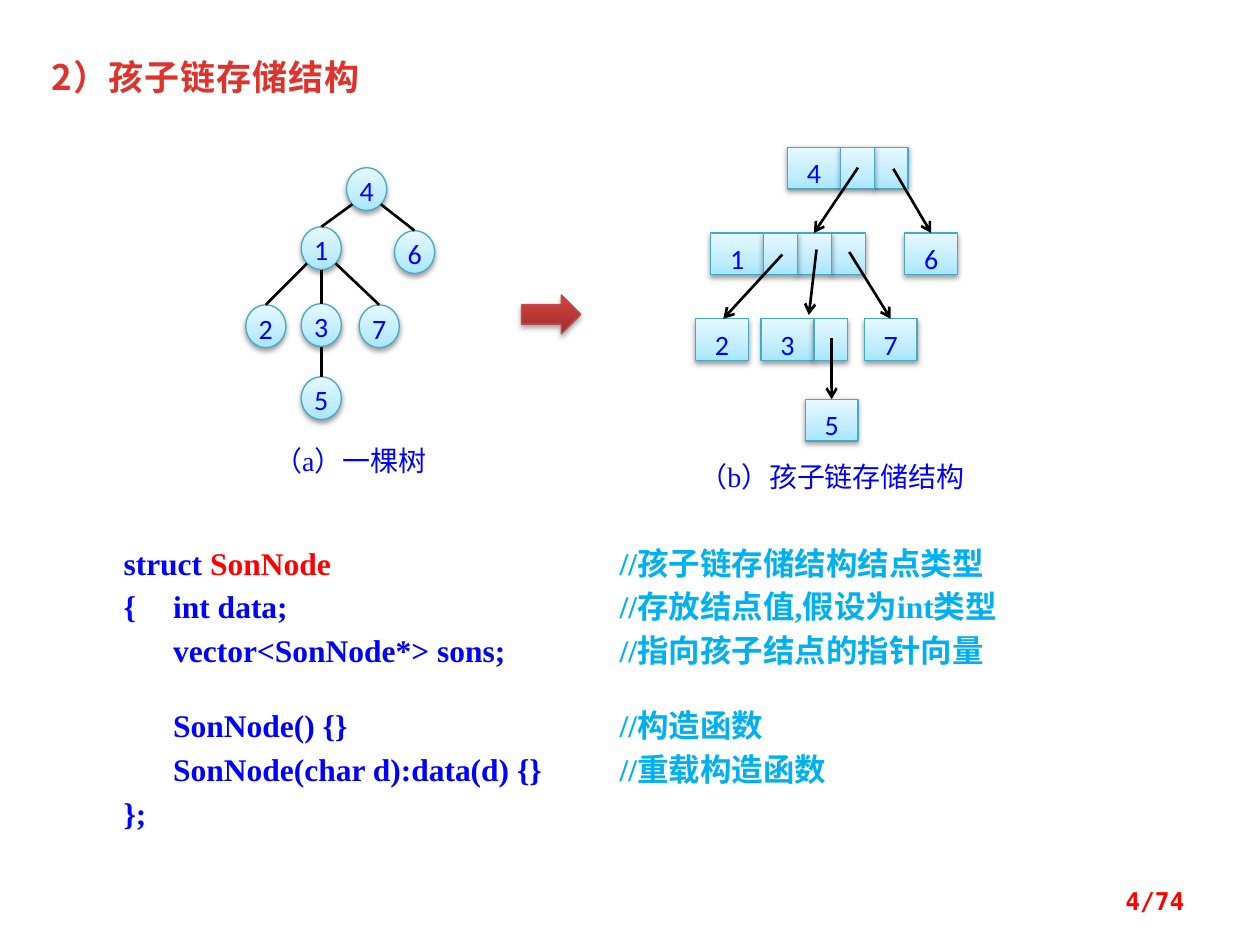
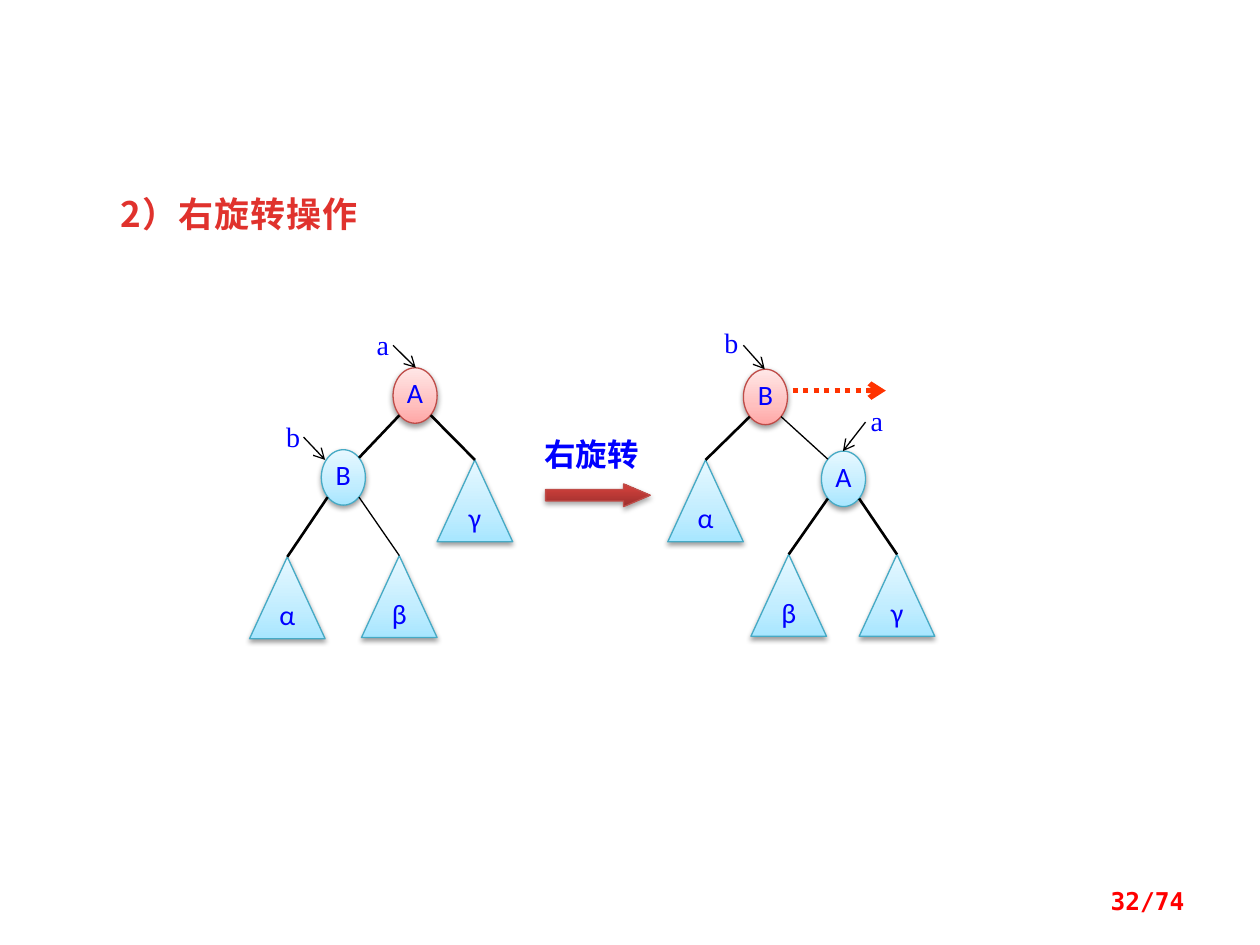
from dataclasses import dataclass

from lxml import etree
from pptx import Presentation
from pptx.dml.color import RGBColor
from pptx.enum import dml, shapes, text
from pptx.oxml import ns
from pptx.util import Pt

SHAPE = shapes.MSO_SHAPE
ALIGN = text.PP_ALIGN


@dataclass(frozen=True)
class Theme:
    ink: str = "0000FF"
    keyword: str = "FF0000"
    comment: str = "00B0F0"
    page: str = "FF0000"
    edge: str = "000000"
    accent: str = "FF3300"
    white: str = "FFFFFF"
    title: tuple = ((25, "E0322D"), (100, "A2201C"))
    # each: gradient stops, outline, shadow opacity, shadow distance
    blue: tuple = (((0, "A7E6FF"), (35, "C1EDFF"), (100, "E7F8FF")), "46AAC5", 38, 1.6)
    pink: tuple = (((0, "FFA6A5"), (35, "FFC0BF"), (100, "FFE7E7")), "BF4C48", 38, 1.6)
    red: tuple = (((0, "9C2F2D"), (80, "CB3E3A"), (100, "CE3B37")), "BF4C48", 35, 1.8)
    node_font: str = "Calibri"
    body_font: str = "Times New Roman"
    title_font: str = "Noto Sans CJK SC"
    page_font: str = "DejaVu Sans Mono"
    title_size: int = 20
    code_size: int = 18
    label_size: int = 16
    page_size: int = 14
    thin: float = 0.75
    thick: float = 1.5


T = Theme()


def sub(parent, tag, **attrs):
    return etree.SubElement(parent, ns.qn(tag), {k: str(v) for k, v in attrs.items()})


def paint_gradient(fill, element, stops, angle):
    fill.gradient()
    fill.gradient_angle = angle
    gs_list = element.find(".//" + ns.qn("a:gsLst"))
    for gs in list(gs_list):
        gs_list.remove(gs)
    for pos, color in stops:
        sub(sub(gs_list, "a:gs", pos=pos * 1000), "a:srgbClr", val=color)


def style_font(font, name, size, color=None, bold=False):
    font.name, font.size, font.bold = name, Pt(size), bold
    if color:
        font.color.rgb = RGBColor.from_string(color)


def frame(sp, left=0, top=0, right=0, bottom=0, wrap=True):
    tf = sp.text_frame
    tf.word_wrap = wrap
    tf.vertical_anchor = text.MSO_ANCHOR.TOP
    tf.margin_left, tf.margin_top = Pt(left), Pt(top)
    tf.margin_right, tf.margin_bottom = Pt(right), Pt(bottom)
    return tf


def write(tf, content, font, size, color, align=ALIGN.LEFT, bold=False, spacing=None):
    p = tf.paragraphs[0]
    p.text = content
    p.alignment = align
    if spacing:
        p.line_spacing = Pt(spacing)
    style_font(p.font, font, size, color, bold)


def textbox(slide, x, y, w, h):
    return slide.shapes.add_textbox(Pt(x), Pt(y), Pt(w), Pt(h))


def glossy(slide, kind, x, y, w, h, look):
    """Preset shape with a gradient, a thin outline and a soft shadow."""
    stops, outline, opacity, distance = look
    sp = slide.shapes.add_shape(kind, Pt(x), Pt(y), Pt(w), Pt(h))
    props = sp._element.spPr
    paint_gradient(sp.fill, props, stops, 90)
    sp.line.color.rgb = RGBColor.from_string(outline)
    sp.line.width = Pt(T.thin)
    sp.shadow.inherit = False
    shadow = sub(props.find(ns.qn("a:effectLst")), "a:outerShdw", blurRad=Pt(3.1),
                 dist=Pt(distance), dir=5400000, rotWithShape=0)
    sub(sub(shadow, "a:srgbClr", val="000000"), "a:alpha", val=opacity * 1000)
    return sp


def node(slide, kind, x, y, w, h, key, look=T.blue, spacing=None):
    sp = glossy(slide, kind, x, y, w, h, look)
    write(frame(sp), key, T.node_font, T.label_size, T.ink, ALIGN.CENTER, spacing=spacing)
    return sp


def line(slide, x1, y1, x2, y2, width=T.thick, color=T.edge, arrow=False, dash=None):
    c = slide.shapes.add_connector(shapes.MSO_CONNECTOR.STRAIGHT,
                                   Pt(x1), Pt(y1), Pt(x2), Pt(y2))
    c.line.color.rgb = RGBColor.from_string(color)
    c.line.width = Pt(width)
    if dash:
        c.line.dash_style = dash
    if arrow:
        sub(c.line._get_or_add_ln(), "a:tailEnd", type="arrow")
    sub(c._element.spPr, "a:effectLst")


def site(sp, dx, dy):
    """Point of a shape, dx and dy being -1 to 1 from its centre."""
    return (sp.left.pt + sp.width.pt * (1 + dx) / 2,
            sp.top.pt + sp.height.pt * (1 + dy) / 2)


def edge(slide, parent, child, width=T.thick, to_corner=False):
    """Tree edge from the parent's lower rim to the child's top or upper rim."""
    diagonal = 0.71
    shift = site(child, 0, 0)[0] - site(parent, 0, 0)[0]
    side = 0 if abs(shift) < 1 else diagonal * (1 if shift > 0 else -1)
    start = site(parent, side, diagonal if side else 1)
    end = site(child, -side, -diagonal) if to_corner else site(child, 0, -1)
    line(slide, *start, *end, width)


def title(slide, x, y, w, content):
    tf = frame(textbox(slide, x, y, w, 31.5), 7.2, 3.6, 7.2, 3.6)
    r = tf.paragraphs[0].add_run()
    r.text = content
    style_font(r.font, T.title_font, T.title_size, bold=True)
    props = r._r.get_or_add_rPr()
    paint_gradient(r.font.fill, props, T.title, 270)
    props.set("spc", "50")


def page_number(slide, content):
    tf = frame(textbox(slide, 516.2, 500.4, 167.8, 28.8), 7.2, 3.6, 7.2, 3.6)
    tf.vertical_anchor = text.MSO_ANCHOR.MIDDLE
    write(tf, content, T.page_font, T.page_size, T.page, ALIGN.RIGHT, bold=True)


def caption(slide, x, y, w, h, content, spacing=None):
    tf = frame(textbox(slide, x, y, w, h), wrap=False)
    write(tf, content, T.body_font, T.label_size, T.ink, ALIGN.CENTER, spacing=spacing)


def label(slide, x, y, w, h, content, size=T.label_size, bold=False):
    sp = textbox(slide, x, y, w, h)
    sp.fill.solid()
    sp.fill.fore_color.rgb = RGBColor.from_string(T.white)
    write(frame(sp, left=2.9), content, T.body_font, size, T.ink, bold=bold)


def record(slide, x, y, key, pointers):
    """Storage node: a key cell followed by its pointer cells."""
    key_w, pointer_w, h = 30.2, 19.4, 23.8
    node(slide, SHAPE.RECTANGLE, x, y, key_w, h, key, spacing=24)
    for i in reversed(range(pointers)):
        glossy(slide, SHAPE.RECTANGLE, x + key_w + i * pointer_w, y, pointer_w, h, T.blue)


def code(slide, x, y, w, h, lines):
    """Each line is (space before, coloured runs); tabs go to indent and comment."""
    tf = frame(textbox(slide, x, y, w, h), 14.4, 3.6, 7.2, 3.6)
    for i, (before, runs) in enumerate(lines):
        p = tf.add_paragraph() if i else tf.paragraphs[0]
        p.line_spacing = Pt(25)
        if before:
            p.space_before = Pt(before)
        tabs = sub(p._p.get_or_add_pPr(), "a:tabLst")
        for stop in (28.35, 283.5):
            sub(tabs, "a:tab", pos=Pt(stop), algn="l")
        style_font(p.font, T.body_font, T.code_size, bold=True)
        for content, color in runs:
            r = p.add_run()
            r.text = content
            r.font.color.rgb = RGBColor.from_string(color)


def child_chain_slide(slide):
    title(slide, 22.3, 28.1, 281.5, "2）孩子链存储结构")

    places = {"4": (198, 95.8), "1": (172.1, 129.6), "6": (225.4, 131.8),
              "7": (205.2, 174.2), "2": (140.4, 174.2), "3": (172.1, 173.5),
              "5": (172.1, 215.3)}
    tree = {key: node(slide, SHAPE.OVAL, x, y, 23, 24.5, key)
            for key, (x, y) in places.items()}
    for parent, child in ("41", "46", "12", "13", "17", "35"):
        edge(slide, tree[parent], tree[child])
    caption(slide, 151.9, 253.4, 96.5, 23.8, "（a）一棵树")

    glossy(slide, SHAPE.RIGHT_ARROW, 298.1, 168.5, 33.8, 22.3, T.red)

    top, middle, bottom = 84.2, 133.2, 182.2
    for x, y, key, pointers in ((450, top, "4", 2), (406.1, middle, "1", 3),
                                (517, middle, "6", 0), (397.4, bottom, "2", 0),
                                (434.9, bottom, "3", 1), (493.9, bottom, "7", 0),
                                (460.1, 228.2, "5", 0)):
        record(slide, x, y, key, pointers)
    for ends in ((490.3, 95.8, 465.1, middle), (510.5, 96.5, 532.1, middle),
                 (447.1, 145.4, 413.3, bottom), (466.6, 142.6, 462.2, 180),
                 (485.3, 144, 509, bottom), (475.2, 193, 475.2, 228.2)):
        line(slide, *ends, arrow=True)
    caption(slide, 393.8, 257.8, 163.4, 18.7, "（b）孩子链存储结构", spacing=24)

    code(slide, 56.2, 303.8, 613.4, 177.1, (
        (0, (("struct ", T.ink), ("SonNode\t", T.keyword),
             ("//孩子链存储结构结点类型", T.comment))),
        (0, (("{\tint data;\t", T.ink), ("//存放结点值,假设为int类型", T.comment))),
        (0, (("\tvector<SonNode*> sons;\t", T.ink), ("//指向孩子结点的指针向量", T.comment))),
        (18, (("\tSonNode() {}\t", T.ink), ("//构造函数", T.comment))),
        (0, (("\tSonNode(char d):data(d) {}\t", T.ink), ("//重载构造函数", T.comment))),
        (0, (("};", T.ink),)),
    ))
    page_number(slide, "4/74")


def rotation_tree(slide, root, inner, subtrees, edges):
    """Two round nodes and three triangular subtrees, joined by edges."""
    parts = {}
    for (key, x, y), look in ((root, T.pink), (inner, T.blue)):
        parts[key] = node(slide, SHAPE.OVAL, x, y, 25.2, 31.7, key, look)
    for key, x, y in subtrees:
        parts[key] = node(slide, SHAPE.ISOSCELES_TRIANGLE, x, y, 43.2, 46.8, key)
    for (parent, child), width in edges:
        edge(slide, parts[parent], parts[child], width, to_corner=child in "AB")


def right_rotation_slide(slide):
    title(slide, 61.9, 106.6, 191.5, "2）右旋转操作")

    rotation_tree(slide, ("A", 224.6, 210.2), ("B", 183.6, 257),
                  (("α", 142.6, 318.2), ("β", 206.6, 317.5), ("γ", 249.8, 262.8)),
                  (("AB", T.thick), ("Aγ", T.thick), ("Bα", T.thick), ("Bβ", T.thin)))
    rotation_tree(slide, ("B", 424.8, 211), ("A", 469.4, 257.8),
                  (("α", 381.6, 262.8), ("β", 429.1, 316.8), ("γ", 491, 316.8)),
                  (("Bα", T.thick), ("BA", T.thin), ("Aβ", T.thick), ("Aγ", T.thick)))

    for name, x, y, ends in (("a", 212.4, 187.2, (224.6, 197.3, 237.6, 210.2)),
                             ("b", 160.6, 239.8, (173.5, 249.8, 185.8, 262.8)),
                             ("b", 411.1, 185.8, (424.8, 197.3, 437, 211)),
                             ("a", 494.6, 230.4, (494.6, 241.2, 481.7, 257.8))):
        label(slide, x, y, 12.2, 20.2, name)
        line(slide, *ends, T.thin, arrow=True)

    label(slide, 308.2, 248.4, 74.9, 25.2, "右旋转", T.code_size, bold=True)
    arrow = glossy(slide, SHAPE.RIGHT_ARROW, 311.8, 276.5, 59.8, 13, T.red)
    arrow.adjustments[1] = 1.17
    line(slide, 452.9, 223.2, 506.2, 223.2, 3, T.accent, arrow=True,
         dash=dml.MSO_LINE.ROUND_DOT)
    page_number(slide, "32/74")


def main():
    prs = Presentation()
    prs.slide_width, prs.slide_height = Pt(720), Pt(540)
    blank = prs.slide_layouts[6]
    for build in (child_chain_slide, right_rotation_slide):
        build(prs.slides.add_slide(blank))
    prs.save("out.pptx")


if __name__ == "__main__":
    main()
